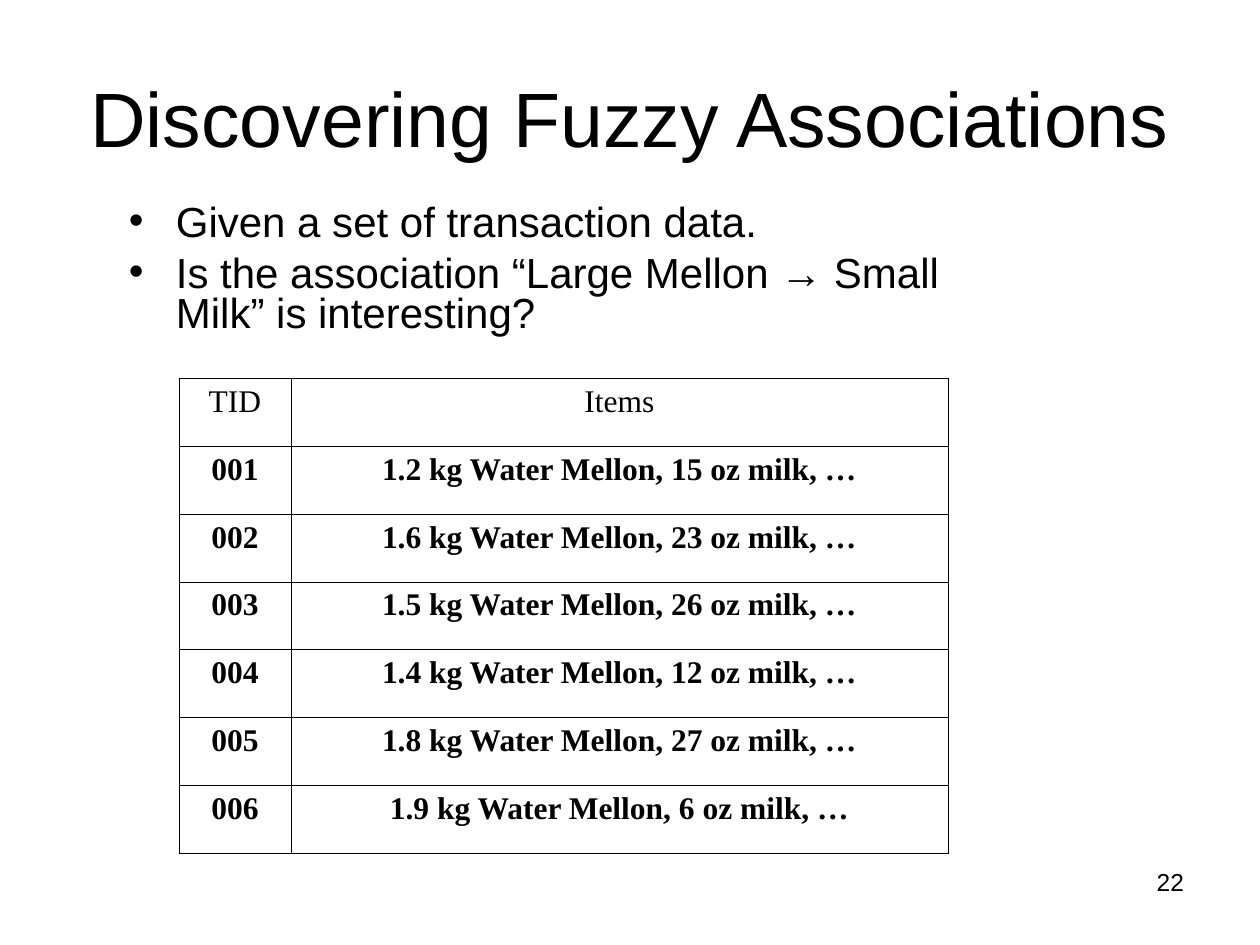
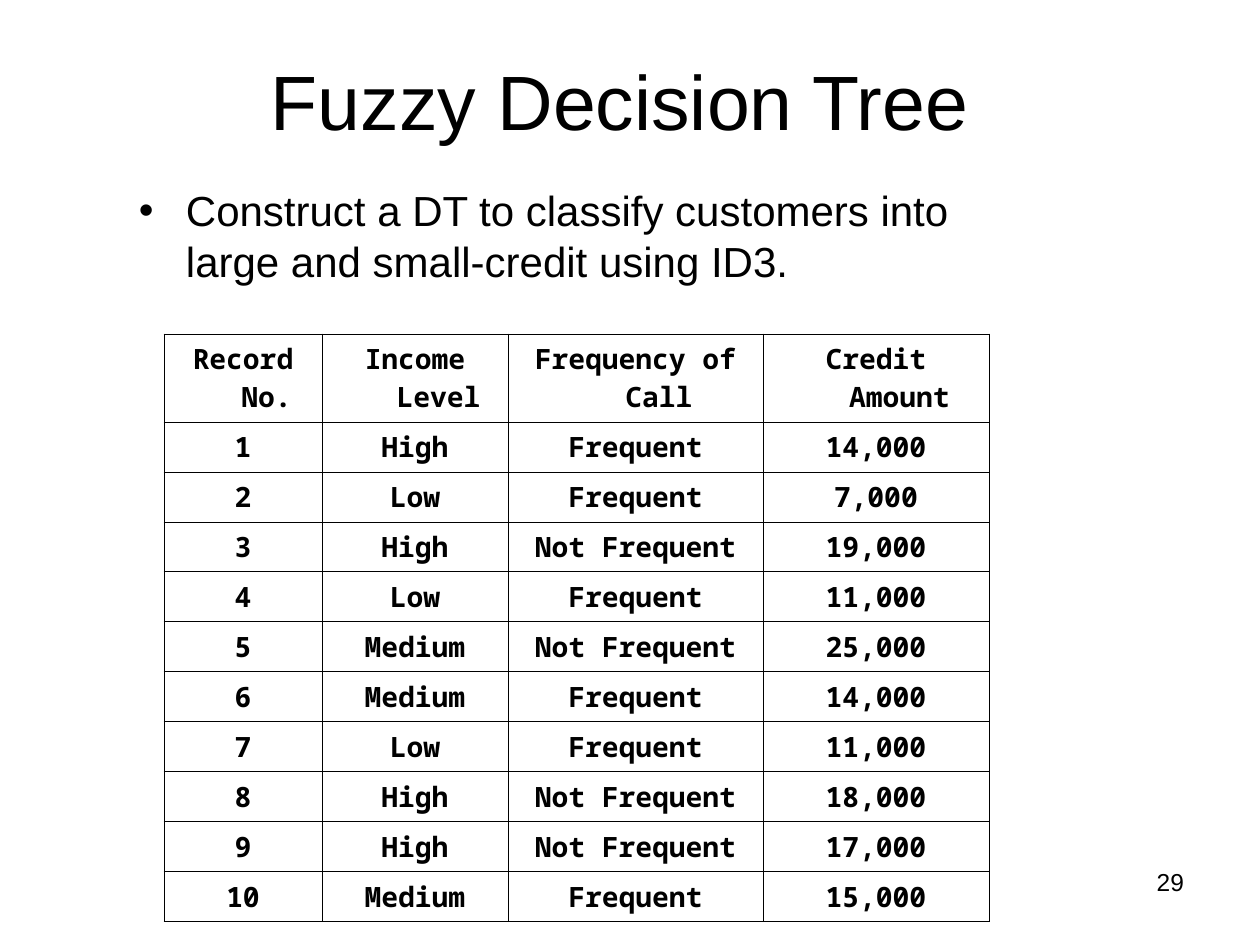
from dataclasses import dataclass

from lxml.etree import SubElement
from pptx import Presentation
from pptx.dml.color import RGBColor
from pptx.enum.text import MSO_ANCHOR, MSO_AUTO_SIZE, PP_ALIGN
from pptx.oxml.ns import qn
from pptx.util import Emu, Pt

PX_PER_INCH = 126
TITLE_ONLY = 5


def px(length):
    return Emu(round(length * 914400 / PX_PER_INCH))


@dataclass(frozen=True)
class Theme:
    ink: str = "000000"
    paper: str = "FFFFFF"
    font: str = "Arial"
    title_size: int = 44
    bullet_size: int = 24
    number_size: int = 14
    bullet_gap: int = 6
    border_width: float = 0.45
    hanging: int = 47
    inset_x: int = 13
    inset_y: int = 6


class SlideBuilder:
    """Holds the theme and the slide being filled."""

    def __init__(self, presentation, theme):
        self.presentation = presentation
        self.theme = theme
        self.slide = None

    def start(self):
        layout = self.presentation.slide_layouts[TITLE_ONLY]
        self.slide = self.presentation.slides.add_slide(layout)
        background = self.slide.background.fill
        background.solid()
        background.fore_color.rgb = RGBColor.from_string(self.theme.paper)

    def add_text(self, paragraph, text, size, font=None, bold=False):
        run = paragraph.add_run()
        run.text = text
        run.font.name = font or self.theme.font
        run.font.size = Pt(size)
        run.font.bold = bold
        run.font.color.rgb = RGBColor.from_string(self.theme.ink)

    def hang(self, paragraph):
        """Give a paragraph the shared hanging indent."""
        properties = paragraph._p.get_or_add_pPr()
        properties.set("marL", str(px(self.theme.hanging)))
        properties.set("indent", str(-px(self.theme.hanging)))
        return properties

    def set_insets(self, holder):
        holder.margin_left = holder.margin_right = px(self.theme.inset_x)
        holder.margin_top = holder.margin_bottom = px(self.theme.inset_y)

    def fit_frame(self, frame):
        frame.word_wrap = True
        frame.auto_size = MSO_AUTO_SIZE.NONE
        self.set_insets(frame)

    def title(self, text, left, top, width=1134, height=158):
        heading = self.slide.shapes.title
        heading.left, heading.top = px(left), px(top)
        heading.width, heading.height = px(width), px(height)
        frame = heading.text_frame
        self.fit_frame(frame)
        frame.vertical_anchor = MSO_ANCHOR.MIDDLE
        frame.paragraphs[0].alignment = PP_ALIGN.CENTER
        self.add_text(frame.paragraphs[0], text, self.theme.title_size)

    def text_frame(self, left, top, width, height):
        box = self.slide.shapes.add_textbox(px(left), px(top), px(width), px(height))
        self.fit_frame(box.text_frame)
        return box.text_frame

    def bullets(self, points, left, top, width, height, line_spacing=1.0):
        frame = self.text_frame(left, top, width, height)
        for index, point in enumerate(points):
            paragraph = frame.add_paragraph() if index else frame.paragraphs[0]
            properties = self.hang(paragraph)
            color = SubElement(properties, qn("a:buClr"))
            SubElement(color, qn("a:srgbClr"), val=self.theme.ink)
            SubElement(properties, qn("a:buFont"), typeface=self.theme.font)
            SubElement(properties, qn("a:buChar"), char="•")
            paragraph.line_spacing = line_spacing
            if index:
                paragraph.space_before = Pt(self.theme.bullet_gap)
            self.add_text(paragraph, point, self.theme.bullet_size)

    def page_number(self, number):
        paragraph = self.text_frame(903, 861, 294, 66).paragraphs[0]
        paragraph.alignment = PP_ALIGN.RIGHT
        self.add_text(paragraph, str(number), self.theme.number_size)

    def border(self, cell):
        properties = cell._tc.get_or_add_tcPr()
        for side in ("lnL", "lnR", "lnT", "lnB"):
            line = SubElement(properties, qn(f"a:{side}"), w=str(Pt(self.theme.border_width)))
            fill = SubElement(line, qn("a:solidFill"))
            SubElement(fill, qn("a:srgbClr"), val=self.theme.ink)

    def table(self, records, left, top, widths, heights, font, size, bold_header):
        table = self.slide.shapes.add_table(
            len(records), len(widths), px(left), px(top),
            px(sum(widths)), px(sum(heights))).table
        table.first_row = table.horz_banding = False
        for column, width in zip(table.columns, widths):
            column.width = px(width)
        for row, height in zip(table.rows, heights):
            row.height = px(height)
        for row_index, record in enumerate(records):
            for column_index, text in enumerate(record):
                cell = table.cell(row_index, column_index)
                self.border(cell)
                cell.fill.background()
                self.set_insets(cell)
                paragraph = cell.text_frame.paragraphs[0]
                self.hang(paragraph)
                paragraph.alignment = PP_ALIGN.CENTER
                self.add_text(paragraph, text, size, font, bold_header or row_index > 0)


def add_associations(builder):
    purchases = [("1.2", 15), ("1.6", 23), ("1.5", 26), ("1.4", 12), ("1.8", 27), ("1.9", 6)]
    transactions = [("TID", "Items")] + [
        (f"{tid:03}", f"{mellon} kg Water Mellon, {milk} oz milk, …")
        for tid, (mellon, milk) in enumerate(purchases, 1)]
    builder.start()
    builder.title("Discovering Fuzzy Associations", 63, 38)
    builder.bullets(
        ["Given a set of transaction data.",
         "Is the association “Large Mellon → Small Milk” is interesting?"],
        116, 199, 892, 168, line_spacing=0.8)
    builder.table(transactions, 179, 378, [112, 657], [68] * len(transactions),
                  "Times New Roman", 18, bold_header=False)
    builder.page_number(22)


def add_decision_tree(builder):
    customers = [
        ("High", "Frequent", "14,000"),
        ("Low", "Frequent", "7,000"),
        ("High", "Not Frequent", "19,000"),
        ("Low", "Frequent", "11,000"),
        ("Medium", "Not Frequent", "25,000"),
        ("Medium", "Frequent", "14,000"),
        ("Low", "Frequent", "11,000"),
        ("High", "Not Frequent", "18,000"),
        ("High", "Not Frequent", "17,000"),
        ("Medium", "Frequent", "15,000"),
    ]
    records = [("Record No.", "Income Level", "Frequency of Call", "Credit Amount")] + [
        (str(number), *customer) for number, customer in enumerate(customers, 1)]
    builder.start()
    builder.title("Fuzzy Decision Tree", 53, 21)
    builder.bullets(
        ["Construct a DT to classify customers into large and small-credit using ID3."],
        126, 179, 882, 136)
    builder.table(records, 164, 334, [158, 186, 255, 226], [81] + [46] * len(customers),
                  "Noto Sans Mono", 16, bold_header=True)
    builder.page_number(29)


def main():
    presentation = Presentation()
    presentation.slide_width, presentation.slide_height = px(1260), px(945)
    builder = SlideBuilder(presentation, Theme())
    add_associations(builder)
    add_decision_tree(builder)
    presentation.save("out.pptx")


if __name__ == "__main__":
    main()
